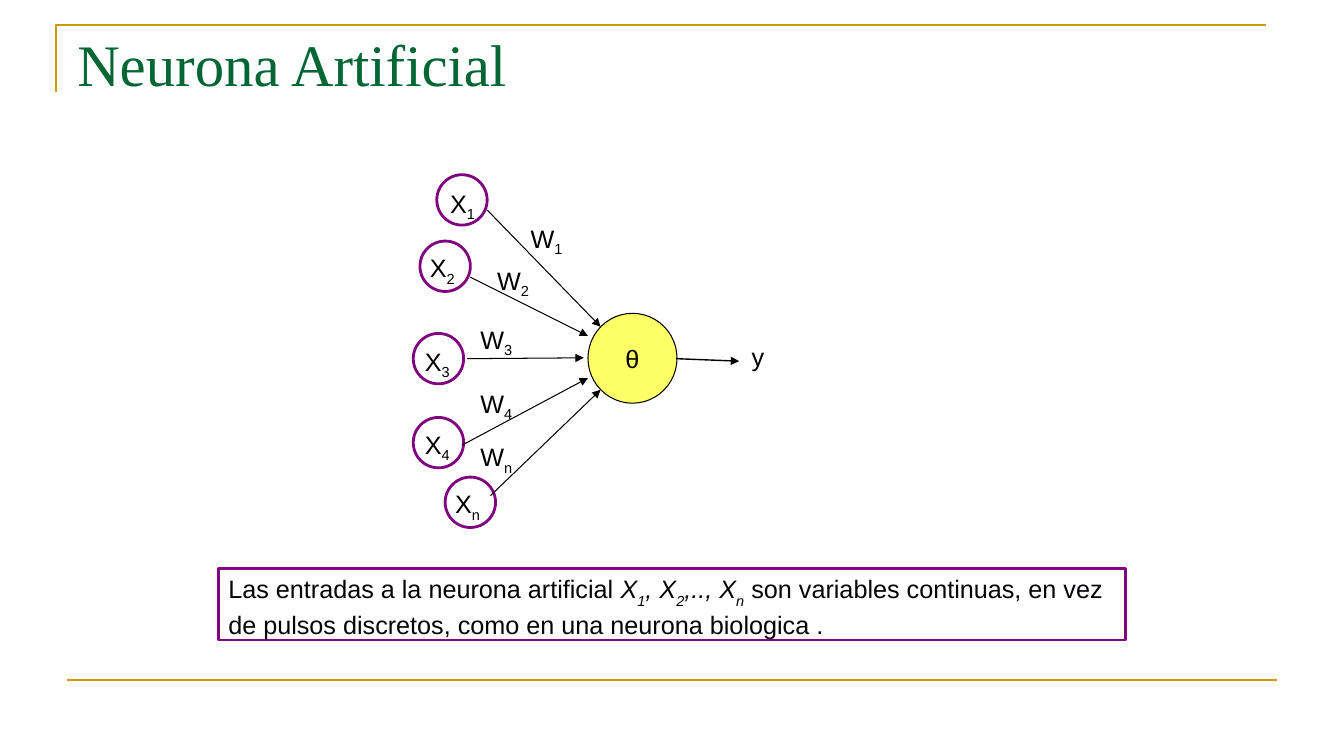
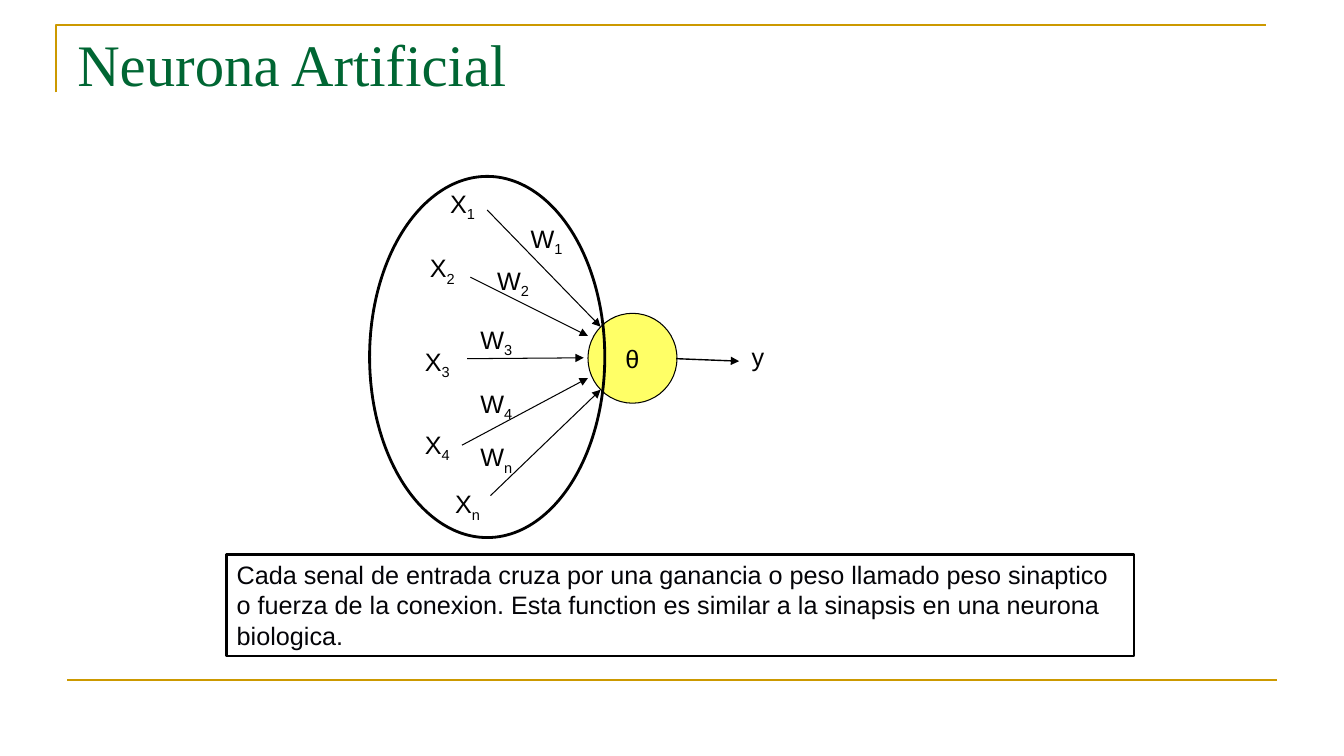
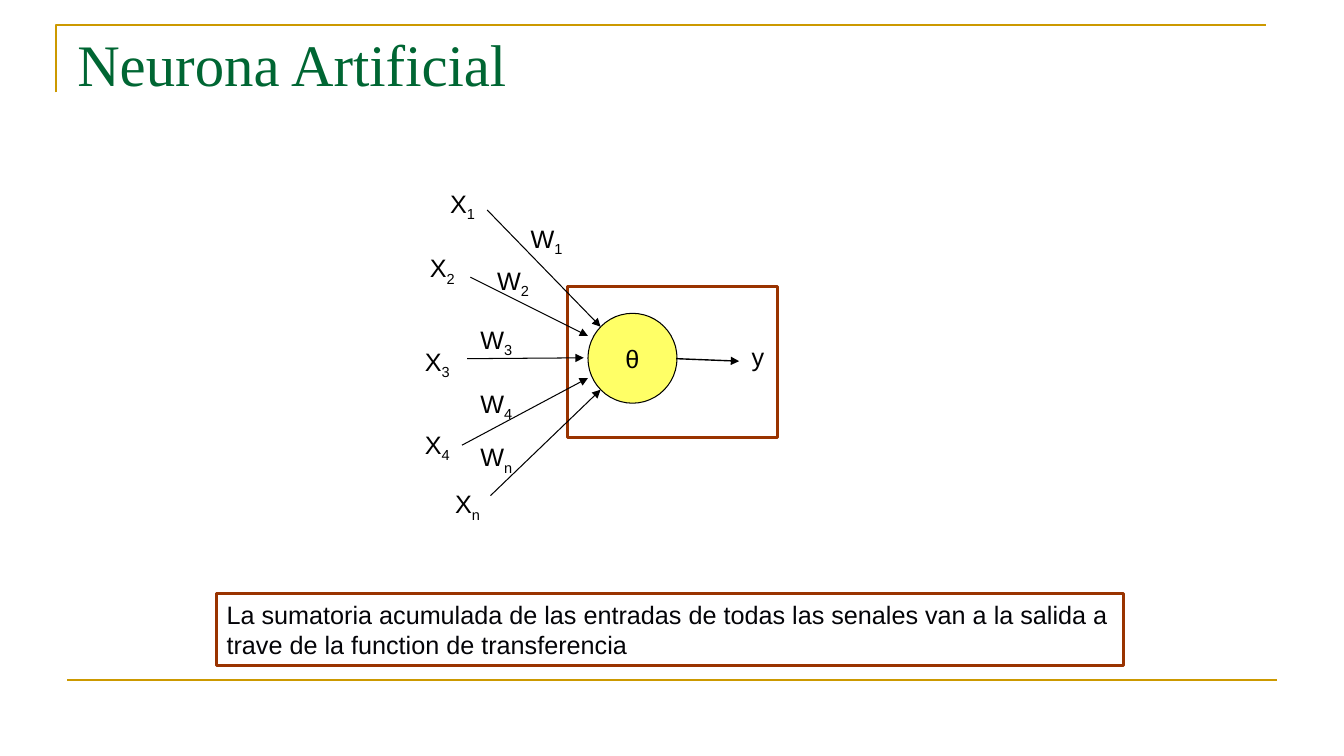
from lxml import etree
from pptx import Presentation
from pptx import util as u
from pptx.dml.color import RGBColor
from pptx.enum import shapes, text
from pptx.oxml.ns import qn

CELL = u.Inches(1) / 12          # the slide is a grid of 160 x 90 cells
GOLD, GREEN, YELLOW = "CC9900", "006633", "FFFF66"
BLACK, INK, PURPLE, RUST = "000000", "040408", "800080", "993300"
OVAL, RECT = shapes.MSO_SHAPE.OVAL, shapes.MSO_SHAPE.RECTANGLE
HOME = (44, 20)                  # top left cell of the neuron diagram

# Per input: name, circle, label, weight label, arrow start, arrow end
INPUTS = [
    ("1", (8, 0.8), (8.4, 1.8), (18, 6), (14, 5), (27.5, 18.9)),
    ("2", (6, 8.7), (6, 9.5), (14, 11), (12, 13), (26, 20)),
    ("3", (5.2, 19.7), (5.4, 20.6), (12, 18), (11.6, 22.7), (25.5, 22.6)),
    ("4", (5.2, 29.7), (5.4, 30.5), (12, 25.6), (11, 33), (26, 25)),
    ("n", (9, 36.8), (9, 37.6), (12, 32), (14.4, 39), (27.5, 26.4)),
]


def rgb(code):
    return RGBColor.from_string(code)


def cells(*nums):
    return [u.Emu(round(n * CELL)) for n in nums]


def shift(spot):
    """Turn a place in the diagram into a place on the slide."""
    return spot[0] + HOME[0], spot[1] + HOME[1]


def write(frame, words, color=BLACK, drop=-25):
    """Write words: _ lowers the next letter, | switches italics."""
    para = frame.paragraphs[0]
    for i, part in enumerate(words.split("|")):
        for j, bit in enumerate(part.split("_")):
            low, flat = (bit[:1], bit[1:]) if j else ("", bit)
            for piece, base in ((low, drop), (flat, 0)):
                if not piece:
                    continue
                run = para.add_run()
                run.text = piece
                font = run.font
                font.name, font.size = "Arial", u.Pt(18)
                font.color.rgb = rgb(color)
                if i % 2:
                    font.italic = True
                if base:
                    run._r.get_or_add_rPr().set("baseline", str(base * 1000))


def outline(item, color, width):
    item.line.color.rgb = rgb(color)
    item.line.width = u.Pt(width)


def shape(slide, kind, spot, size, color, width=2, fill=None):
    item = slide.shapes.add_shape(kind, *cells(*spot, *size))
    item.shadow.inherit = False
    outline(item, color, width)
    if fill:
        item.fill.solid()
        item.fill.fore_color.rgb = rgb(fill)
    else:
        item.fill.background()
    return item


def line(slide, start, end, color=BLACK, width=0.75, arrow=True):
    item = slide.shapes.add_connector(
        shapes.MSO_CONNECTOR.STRAIGHT, *cells(*start, *end))
    outline(item, color, width)
    if arrow:
        tip = etree.SubElement(item.line._get_or_add_ln(), qn("a:tailEnd"))
        tip.set("type", "triangle")
    etree.SubElement(item._element.spPr, qn("a:effectLst"))
    return item


def label(slide, words, spot, wide):
    box = slide.shapes.add_textbox(*cells(*shift(spot), wide, 4.8))
    frame = box.text_frame
    frame.word_wrap = False
    frame.auto_size = text.MSO_AUTO_SIZE.SHAPE_TO_FIT_TEXT
    write(frame, words)


def set_layout(layout, slide):
    """Put the title place and the gold rules on the shared layout."""
    head = layout.placeholders[0]
    head.left, head.top, head.width, head.height = cells(8, 3.6, 144, 14.9)
    # Corner rule, drawn on a slide and moved to the layout
    pen = slide.shapes.build_freeform(*cells(6.7, 11))
    pen.add_line_segments([cells(6.7, 3), cells(150.7, 3)], close=False)
    corner = pen.convert_to_shape()
    corner.shadow.inherit = False
    corner.fill.background()
    outline(corner, GOLD, 1.5)
    # Foot rule
    foot = line(slide, (8, 81), (152, 81), GOLD, 1.5, arrow=False)
    for item in (corner, foot):
        layout.shapes._spTree.append(item._element)


def title(slide, words):
    frame = slide.shapes.title.text_frame
    frame.text = words
    frame.word_wrap = True
    frame.auto_size = text.MSO_AUTO_SIZE.NONE
    frame.vertical_anchor = text.MSO_ANCHOR.TOP
    para = frame.paragraphs[0]
    para.alignment = text.PP_ALIGN.LEFT
    para.line_spacing = 0.9
    font = para.runs[0].font
    font.name, font.size = "Times New Roman", u.Pt(42)
    font.color.rgb = rgb(GREEN)


def caption(slide, words, spot, high, color):
    frame = shape(slide, RECT, spot, (108, high), color).text_frame
    frame.word_wrap = True
    frame.vertical_anchor = text.MSO_ANCHOR.TOP
    frame.paragraphs[0].alignment = text.PP_ALIGN.LEFT
    write(frame, words, INK, -30)


def neuron(slide, rings=False):
    # Cell body and output
    body = shape(slide, OVAL, shift((26, 17.3)), (10.6, 10.7),
                 BLACK, 0.75, YELLOW)
    body.text_frame.vertical_anchor = text.MSO_ANCHOR.MIDDLE
    body.text_frame.paragraphs[0].alignment = text.PP_ALIGN.CENTER
    write(body.text_frame, "θ")
    line(slide, shift((36.5, 22.7)), shift((44, 23)), width=1)
    label(slide, "y", (44.3, 20), 4)
    # Inputs and weights
    for name, ring, mark, weight, start, end in INPUTS:
        if rings:
            shape(slide, OVAL, shift(ring), (6, 6), PURPLE)
        line(slide, shift(start), shift(end))
        label(slide, "W_" + name, weight, 6.4)
        label(slide, "X_" + name, mark, 5.5)


def main():
    deck = Presentation()
    deck.slide_width, deck.slide_height = cells(160, 90)
    layout = deck.slide_layouts[5]
    pages = [deck.slides.add_slide(layout) for _ in range(3)]
    set_layout(layout, pages[0])
    for page in pages:
        title(page, "Neurona Artificial")
    first, second, third = pages

    # Inputs
    caption(first, "Las entradas a la neurona artificial |X_1, X_2,.., X_n| "
            "son variables continuas, en vez de pulsos discretos, como en "
            "una neurona biologica .", (26, 67.7), 8.5, PURPLE)
    neuron(first, rings=True)

    # Weights
    caption(second, "Cada senal de entrada cruza por una ganancia o peso "
            "llamado peso sinaptico o fuerza de la conexion. Esta function "
            "es similar a la sinapsis en una neurona biologica.",
            (27, 66), 12.1, BLACK)
    neuron(second)
    shape(second, OVAL, shift((0, 1)), (28, 43), BLACK)

    # Output
    caption(third, "La sumatoria acumulada de las entradas de todas las "
            "senales van a la salida a trave de la function de "
            "transferencia", (25.8, 70.7), 8.5, RUST)
    shape(third, RECT, shift((23.6, 14.1)), (25, 18), RUST)
    neuron(third)

    deck.save("out.pptx")


if __name__ == "__main__":
    main()
